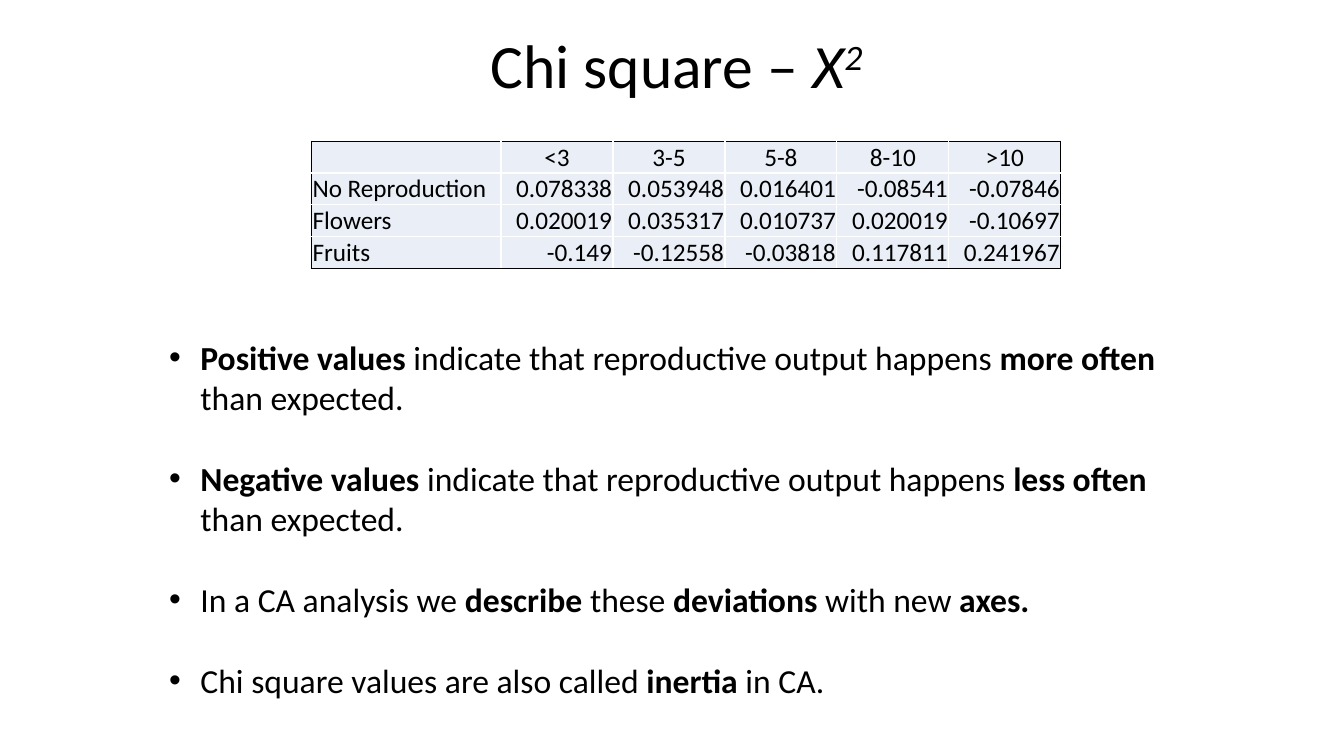
from dataclasses import dataclass

from lxml import etree
from pptx import Presentation
from pptx.dml.color import RGBColor
from pptx.enum.text import MSO_ANCHOR, MSO_AUTO_SIZE, PP_ALIGN
from pptx.oxml.ns import qn
from pptx.util import Inches, Pt

LEFT, CENTER, RIGHT = PP_ALIGN.LEFT, PP_ALIGN.CENTER, PP_ALIGN.RIGHT
TOP, BOTTOM = MSO_ANCHOR.TOP, MSO_ANCHOR.BOTTOM
NO_AUTOFIT = MSO_AUTO_SIZE.NONE
TITLE_ONLY_LAYOUT = 5

SLIDE_WIDTH, SLIDE_HEIGHT = Inches(13.33), Inches(7.5)
FONT = "Calibri"
COLORS = {"text": "000000", "frame": "000000", "grid": "FFFFFF", "cell": "EAEFF7"}
BULLET_INDENT = Inches(0.31)


@dataclass(frozen=True)
class Box:
    """Position and size in percent of the slide's width and height."""

    left: float
    top: float
    width: float
    height: float

    def lengths(self) -> tuple[int, int, int, int]:
        return (across(self.left), down(self.top), across(self.width), down(self.height))


@dataclass(frozen=True)
class Bullet:
    """Lines of one bullet; text between asterisks is bold."""

    lines: tuple[str, ...]


LABEL_COLUMN, VALUE_COLUMN, ROW = 14.1, 8.33, 4.13
ROWS = (
    ("", "<3", "3-5", "5-8", "8-10", ">10"),
    ("No Reproduction", "0.078338", "0.053948", "0.016401", "-0.08541", "-0.07846"),
    ("Flowers", "0.020019", "0.035317", "0.010737", "0.020019", "-0.10697"),
    ("Fruits", "-0.149", "-0.12558", "-0.03818", "0.117811", "0.241967"),
)
TITLE_BOX = Box(16.58, 4, 67.5, 16.67)
TABLE_BOX = Box(23.18, 18.67, LABEL_COLUMN + 5 * VALUE_COLUMN, 4 * ROW)
BULLETS_BOX = Box(11.85, 43.87, 76.3, 53.3)
BULLETS = (
    Bullet((
        "*Positive values* indicate that reproductive output happens *more often*",
        "than expected.",
    )),
    Bullet((
        "*Negative values* indicate that reproductive output happens *less often*",
        "than expected.",
    )),
    Bullet(("In a CA analysis we *describe* these *deviations* with new *axes.*",)),
    Bullet(("Chi square values are also called *inertia* in CA.",)),
)


def across(percent: float) -> int:
    return round(SLIDE_WIDTH * percent / 100)


def down(percent: float) -> int:
    return round(SLIDE_HEIGHT * percent / 100)


def format_font(paragraph, size: float) -> None:
    paragraph.font.name = FONT
    paragraph.font.size = Pt(size)
    paragraph.font.color.rgb = RGBColor.from_string(COLORS["text"])


def set_border(cell, side: str, color: str) -> None:
    properties = cell._tc.get_or_add_tcPr()
    line = etree.SubElement(properties, qn(f"a:ln{side}"), w=str(Pt(1)))
    fill = etree.SubElement(line, qn("a:solidFill"))
    etree.SubElement(fill, qn("a:srgbClr"), val=color)


def draw_title(slide) -> None:
    title = slide.shapes.title
    title.left, title.top, title.width, title.height = TITLE_BOX.lengths()
    frame = title.text_frame
    frame.auto_size = NO_AUTOFIT
    frame.vertical_anchor = TOP
    paragraph = frame.paragraphs[0]
    paragraph.alignment = CENTER
    paragraph.line_spacing = 0.9
    format_font(paragraph, 44)
    paragraph.add_run().text = "Chi square – "
    for text in ("X", "2"):
        run = paragraph.add_run()
        run.text = text
        run.font.italic = True
    run._r.get_or_add_rPr().set("baseline", "30000")


def draw_cell(cell, row: int, column: int) -> None:
    last_row, last_column = len(ROWS) - 1, len(ROWS[0]) - 1
    outer_sides = {
        "L": column == 0,
        "R": column == last_column,
        "T": row == 0,
        "B": row == last_row,
    }
    for side, is_outer in outer_sides.items():
        set_border(cell, side, COLORS["frame" if is_outer else "grid"])
    cell.fill.solid()
    cell.fill.fore_color.rgb = RGBColor.from_string(COLORS["cell"])
    cell.margin_left = cell.margin_right = cell.margin_top = Inches(0.01)
    cell.margin_bottom = 0
    cell.vertical_anchor = BOTTOM
    paragraph = cell.text_frame.paragraphs[0]
    format_font(paragraph, 18)
    paragraph.alignment = CENTER if row == 0 else LEFT if column == 0 else RIGHT
    if ROWS[row][column]:
        paragraph.add_run().text = ROWS[row][column]


def draw_table(slide) -> None:
    table = slide.shapes.add_table(len(ROWS), len(ROWS[0]), *TABLE_BOX.lengths()).table
    table.first_row = table.horz_banding = False
    for index, column in enumerate(table.columns):
        column.width = across(VALUE_COLUMN if index else LABEL_COLUMN)
    for row_index, row in enumerate(table.rows):
        row.height = down(ROW)
        for column_index, cell in enumerate(row.cells):
            draw_cell(cell, row_index, column_index)


def draw_bullet(paragraph, bullet: Bullet) -> None:
    properties = paragraph._p.get_or_add_pPr()
    properties.set("marL", str(BULLET_INDENT))
    properties.set("indent", str(-BULLET_INDENT))
    etree.SubElement(properties, qn("a:buFont"), typeface="Arial")
    etree.SubElement(properties, qn("a:buChar"), char="•")
    format_font(paragraph, 24)
    for line_index, line in enumerate(bullet.lines):
        if line_index:
            paragraph.add_line_break()
        for part_index, part in enumerate(line.split("*")):
            if part:
                run = paragraph.add_run()
                run.text = part
                run.font.bold = part_index % 2 == 1


def draw_bullets(slide) -> None:
    frame = slide.shapes.add_textbox(*BULLETS_BOX.lengths()).text_frame
    frame.word_wrap = True
    for index, bullet in enumerate(BULLETS):
        paragraph = frame.add_paragraph() if index else frame.paragraphs[0]
        if index:
            paragraph.space_before = Pt(29)
        draw_bullet(paragraph, bullet)


def main() -> None:
    presentation = Presentation()
    presentation.slide_width, presentation.slide_height = SLIDE_WIDTH, SLIDE_HEIGHT
    slide = presentation.slides.add_slide(presentation.slide_layouts[TITLE_ONLY_LAYOUT])
    draw_table(slide)
    draw_bullets(slide)
    draw_title(slide)
    presentation.save("out.pptx")


if __name__ == "__main__":
    main()
